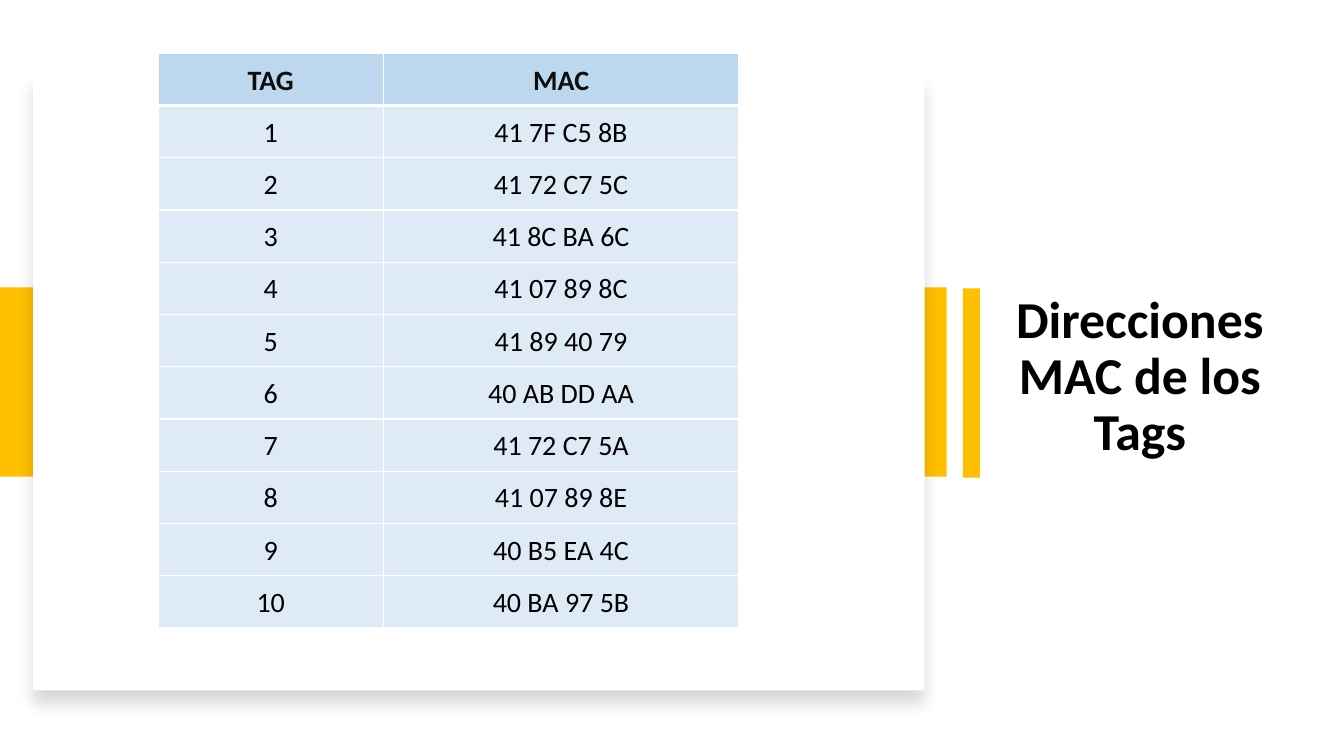
from dataclasses import dataclass

from lxml import etree
from pptx import Presentation
from pptx.dml.color import RGBColor
from pptx.enum.shapes import MSO_SHAPE
from pptx.enum.text import MSO_ANCHOR, PP_ALIGN
from pptx.oxml.ns import qn
from pptx.util import Inches, Pt

RECTANGLE = MSO_SHAPE.RECTANGLE
MIDDLE = MSO_ANCHOR.MIDDLE
CENTER = PP_ALIGN.CENTER

WHITE = RGBColor(0xFF, 0xFF, 0xFF)
BLACK = RGBColor(0x00, 0x00, 0x00)
NEAR_BLACK = RGBColor(0x0D, 0x0D, 0x0D)
GOLD = RGBColor(0xFF, 0xC0, 0x00)
HEADER_BLUE = RGBColor(0xBD, 0xD7, 0xEE)
ROW_BLUE = RGBColor(0xDE, 0xEB, 0xF7)

FONT = "Calibri"
HEADER = ("TAG", "MAC")
MAC_ADDRESSES = (
    "41 7F C5 8B", "41 72 C7 5C", "41 8C BA 6C", "41 07 89 8C", "41 89 40 79",
    "40 AB DD AA", "41 72 C7 5A", "41 07 89 8E", "40 B5 EA 4C", "40 BA 97 5B",
)
COLUMN_WIDTHS = (2.23, 3.53)
TABLE_HEIGHT = 5.7


@dataclass
class Block:
    left: float
    top: float
    width: float
    height: float
    color: RGBColor
    shadow: bool = False


BLOCKS = (
    Block(0, 2.85, 9.39, 1.88, GOLD),
    Block(0.33, 0.73, 8.84, 6.12, WHITE, shadow=True),
    Block(9.55, 2.86, 0.17, 1.88, GOLD),
)


def write_text(text_frame, text: str, *, size: float, color: RGBColor,
               bold: bool = False, line_spacing: float = 1.0) -> None:
    paragraph = text_frame.paragraphs[0]
    paragraph.alignment = CENTER
    paragraph.line_spacing = line_spacing
    run = paragraph.add_run()
    run.text = text
    run.font.name = FONT
    run.font.size = Pt(size)
    run.font.bold = bold
    run.font.color.rgb = color


def add_color(parent, color: RGBColor):
    fill = etree.SubElement(parent, qn("a:solidFill"))
    return etree.SubElement(fill, qn("a:srgbClr"), val=str(color))


def add_soft_shadow(shape) -> None:
    """Put a faint black shadow below the shape."""
    effects = shape._element.spPr.find(qn("a:effectLst"))
    shadow = etree.SubElement(
        effects, qn("a:outerShdw"), blurRad=str(Pt(11)), dist=str(Pt(10)),
        dir=str(90 * 60000), algn="t", rotWithShape="0")
    color = etree.SubElement(shadow, qn("a:srgbClr"), val=str(BLACK))
    etree.SubElement(color, qn("a:alpha"), val="15000")


def add_block(slide, block: Block) -> None:
    shape = slide.shapes.add_shape(
        RECTANGLE, Inches(block.left), Inches(block.top),
        Inches(block.width), Inches(block.height))
    shape.fill.solid()
    shape.fill.fore_color.rgb = block.color
    shape.line.fill.background()
    shape.shadow.inherit = False
    if block.shadow:
        add_soft_shadow(shape)


def set_borders(cell, top: float, bottom: float) -> None:
    """Give the cell white borders: 1 pt at the sides, given widths elsewhere."""
    properties = cell._tc.get_or_add_tcPr()
    widths = {"a:lnL": 1, "a:lnR": 1, "a:lnT": top, "a:lnB": bottom}
    for position, (tag, width) in enumerate(widths.items()):
        line = etree.Element(qn(tag), w=str(Pt(width)))
        add_color(line, WHITE)
        properties.insert(position, line)


def add_mac_table(slide) -> None:
    rows = [HEADER] + [(str(tag), mac) for tag, mac in enumerate(MAC_ADDRESSES, 1)]
    table = slide.shapes.add_table(
        len(rows), len(HEADER), Inches(1.57), Inches(0.53),
        Inches(sum(COLUMN_WIDTHS)), Inches(TABLE_HEIGHT)).table
    for column, width in zip(table.columns, COLUMN_WIDTHS):
        column.width = Inches(width)
    for row_index, values in enumerate(rows):
        is_header = row_index == 0
        for column_index, text in enumerate(values):
            cell = table.cell(row_index, column_index)
            cell.vertical_anchor = MIDDLE
            cell.margin_left = cell.margin_right = cell.margin_top = Inches(0.02)
            cell.margin_bottom = 0
            cell.fill.solid()
            cell.fill.fore_color.rgb = HEADER_BLUE if is_header else ROW_BLUE
            set_borders(cell, top=3 if row_index == 1 else 1,
                        bottom=3 if is_header else 1)
            write_text(cell.text_frame, text, size=20, bold=is_header,
                       color=NEAR_BLACK if is_header else BLACK)


def add_title(slide) -> None:
    title = slide.shapes.add_textbox(
        Inches(9.83), Inches(2.19), Inches(2.95), Inches(3.11))
    title.text_frame.word_wrap = True
    title.text_frame.vertical_anchor = MIDDLE
    write_text(title.text_frame, "Direcciones MAC de los Tags",
               size=37, color=BLACK, bold=True, line_spacing=0.9)


def main() -> None:
    presentation = Presentation()
    presentation.slide_width = Inches(13.33)
    presentation.slide_height = Inches(7.5)
    slide = presentation.slides.add_slide(presentation.slide_layouts[6])
    add_title(slide)
    for block in BLOCKS:
        add_block(slide, block)
    add_mac_table(slide)
    presentation.save("out.pptx")


if __name__ == "__main__":
    main()
